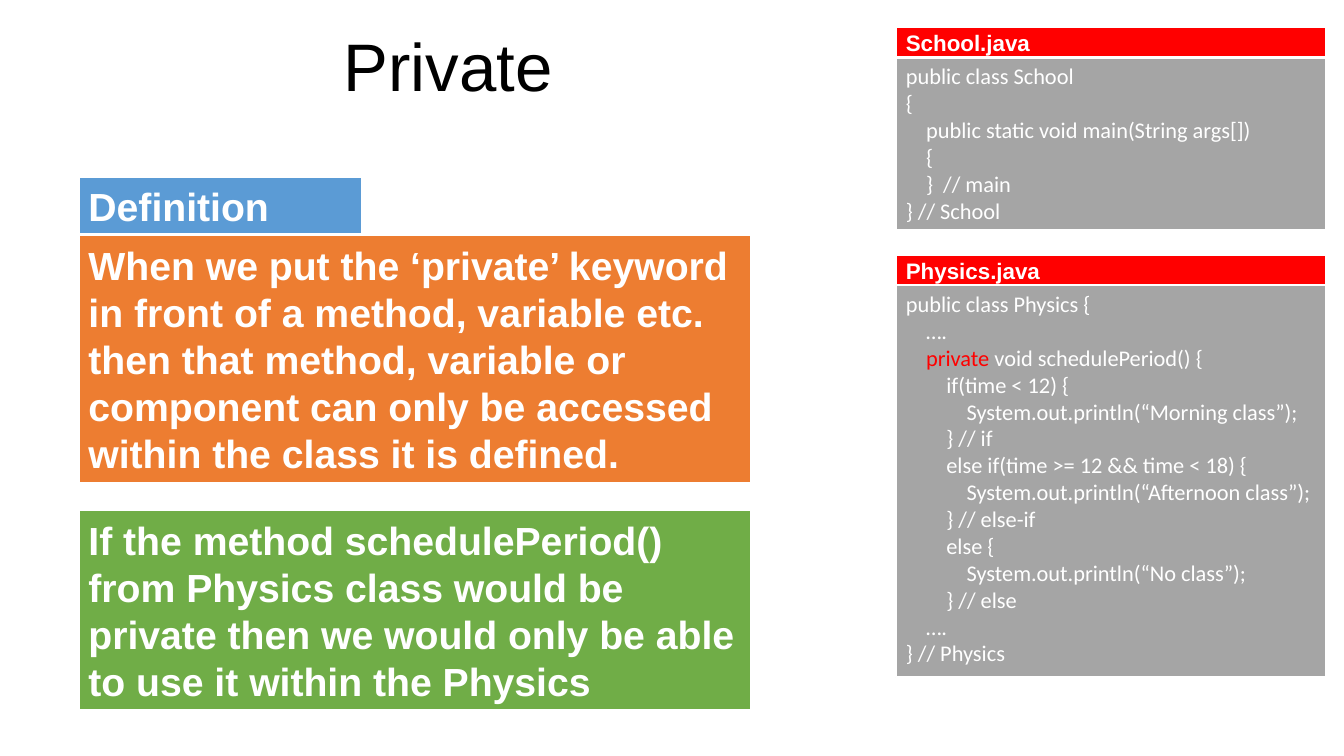
from dataclasses import dataclass

from pptx import Presentation
from pptx import util as u
from pptx.dml.color import RGBColor
from pptx.enum import shapes, text


@dataclass(frozen=True)
class Theme:
    white: RGBColor = RGBColor.from_string("FFFFFF")
    black: RGBColor = RGBColor.from_string("000000")
    red: RGBColor = RGBColor.from_string("FF0000")
    blue: RGBColor = RGBColor.from_string("5B9BD5")
    orange: RGBColor = RGBColor.from_string("ED7D31")
    green: RGBColor = RGBColor.from_string("70AD47")
    grey: RGBColor = RGBColor.from_string("A5A5A5")
    heading_font: str = "Arial"
    code_font: str = "Calibri"
    title_size: u.Pt = u.Pt(48)
    note_size: u.Pt = u.Pt(28)
    code_size: u.Pt = u.Pt(16)
    border: u.Pt = u.Pt(1.5)


theme = Theme()


def style_font(paragraph, name, size, color, bold=False):
    paragraph.font.name = name
    paragraph.font.size = size
    paragraph.font.bold = bold
    paragraph.font.color.rgb = color


def add_box(left, top, width, height, fill, lines, font_name, size, bold, anchor):
    shape = slide.shapes.add_shape(
        shapes.MSO_SHAPE.RECTANGLE, u.Cm(left), u.Cm(top), u.Cm(width), u.Cm(height)
    )
    shape.shadow.inherit = False
    shape.fill.solid()
    shape.fill.fore_color.rgb = fill
    shape.line.color.rgb = theme.white
    shape.line.width = theme.border
    frame = shape.text_frame
    frame.word_wrap = True
    frame.vertical_anchor = anchor
    for index, (level, line) in enumerate(lines):
        paragraph = frame.paragraphs[0] if index == 0 else frame.add_paragraph()
        paragraph.alignment = text.PP_ALIGN.LEFT
        paragraph._p.get_or_add_pPr().set("marL", str(u.Cm(INDENT * level)))
        style_font(paragraph, font_name, size, theme.white, bold)
        before, keyword, after = line.partition("private ") if font_name == theme.code_font else (line, "", "")
        if keyword:
            run = paragraph.add_run()
            run.text = keyword
            run.font.color.rgb = theme.red
        paragraph.add_run().text = before + after


INDENT = 0.51
NOTE_LEFT, NOTE_WIDTH = 1.98, 16.94
CODE_LEFT, CODE_WIDTH, HEADER_HEIGHT = 22.58, 10.85, 0.76

presentation = Presentation()
presentation.slide_width = u.Cm(33.87)
presentation.slide_height = u.Cm(19.05)
slide = presentation.slides.add_slide(presentation.slide_layouts.get_by_name("Title Only"))

title = slide.shapes.title
title.left, title.top, title.width, title.height = u.Cm(0), u.Cm(0), u.Cm(CODE_LEFT), u.Cm(2.79)
title.text_frame.text = "Private"
title.text_frame.auto_size = text.MSO_AUTO_SIZE.NONE
title.text_frame.vertical_anchor = text.MSO_ANCHOR.BOTTOM
title_paragraph = title.text_frame.paragraphs[0]
title_paragraph.alignment = text.PP_ALIGN.CENTER
title_paragraph.line_spacing = 0.9
style_font(title_paragraph, theme.heading_font, theme.title_size, theme.black)

notes = [
    (5.92, NOTE_WIDTH, 6.25, theme.orange,
     "When we put the ‘private’ keyword in front of a method, variable etc. then that method, "
     "variable or component can only be accessed within the class it is defined."),
    (4.45, 7.14, 1.45, theme.blue, "Definition"),
    (12.85, NOTE_WIDTH, 5.05, theme.green,
     "If the method schedulePeriod() from Physics class would be private then we would only "
     "be able to use it within the Physics"),
]
for top, width, height, fill, note in notes:
    add_box(NOTE_LEFT, top, width, height, fill, [(0, note)],
            theme.heading_font, theme.note_size, True, text.MSO_ANCHOR.MIDDLE)

listings = [
    ("School.java", 0.69, 4.34, [
        (0, "public class School"),
        (0, "{"),
        (1, "public static void main(String args[])"),
        (1, "{"),
        (1, "}  // main"),
        (0, "} // School"),
    ]),
    ("Physics.java", 6.43, 9.88, [
        (0, "public class Physics {"),
        (1, "…."),
        (1, "private void schedulePeriod() {"),
        (2, "if(time < 12) {"),
        (3, "System.out.println(“Morning class”);"),
        (2, "} // if"),
        (2, "else if(time >= 12 && time < 18) {"),
        (3, "System.out.println(“Afternoon class”);"),
        (2, "} // else-if"),
        (2, "else {"),
        (3, "System.out.println(“No class”);"),
        (2, "} // else"),
        (1, "…."),
        (0, "} // Physics"),
    ]),
]
for file_name, top, height, code in listings:
    add_box(CODE_LEFT, top + HEADER_HEIGHT, CODE_WIDTH, height, theme.grey, code,
            theme.code_font, theme.code_size, False, text.MSO_ANCHOR.TOP)
    add_box(CODE_LEFT, top, CODE_WIDTH, HEADER_HEIGHT, theme.red, [(0, file_name)],
            theme.heading_font, theme.code_size, True, text.MSO_ANCHOR.MIDDLE)

presentation.save("out.pptx")
